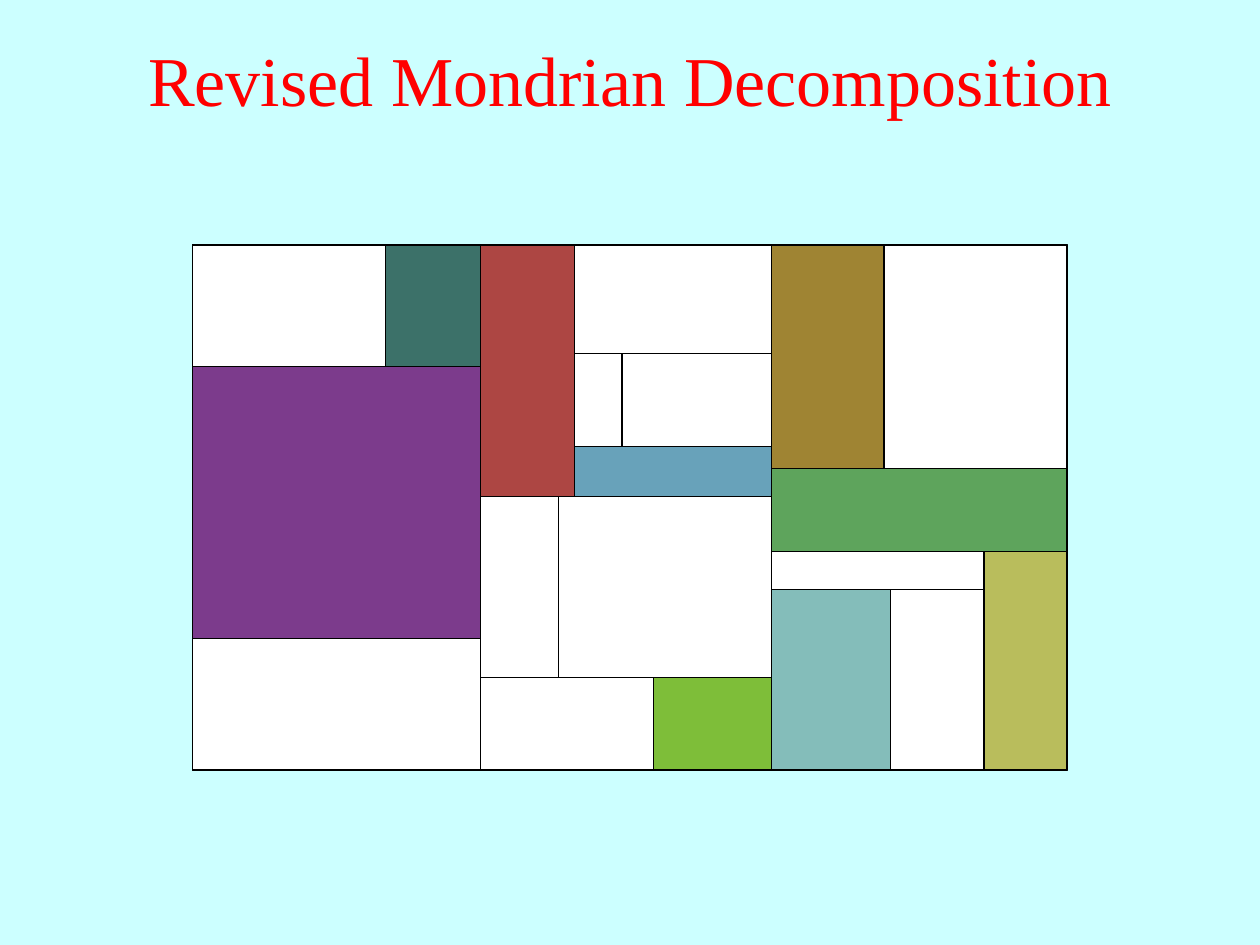
from dataclasses import dataclass
from pptx import Presentation
from pptx.dml.color import RGBColor
from pptx.enum.shapes import MSO_SHAPE
from pptx.enum.text import MSO_ANCHOR, PP_ALIGN
from pptx.slide import Slide
from pptx.util import Pt


@dataclass(frozen=True)
class Theme:
    back: str = "CCFFFF"
    title: str = "FF0000"
    line: str = "000000"
    blank: str = "FFFFFF"
    font: str = "Times New Roman"
    size: float = 40
    width: float = 0.75


THEME = Theme()


@dataclass(frozen=True)
class Tile:
    """A rectangle given by its four edges, in points."""
    left: float
    top: float
    right: float
    bottom: float
    fill: str = THEME.blank


# Edges shared by many tiles: frame and column cuts
LEFT, CUT1, CUT2, RIGHT = 110.2, 274.5, 440.8, 609.8
TOP, BASE = 140, 440

FRAMES = [
    Tile(LEFT, TOP, RIGHT, BASE),
    Tile(LEFT, TOP, CUT2, BASE),
    Tile(CUT2, TOP, RIGHT, BASE),
]
FIRST = [
    Tile(LEFT, TOP, 220.3, 209.3),
    Tile(220.3, TOP, CUT1, 209.3, "3C7169"),
    Tile(LEFT, 209.3, CUT1, 364.8, "7C3B8C"),
    Tile(LEFT, 364.8, CUT1, BASE),
]
MIDDLE = [
    Tile(CUT1, TOP, 328.4, 283.7, "AD4643"),
    Tile(328.4, TOP, CUT2, 202),
    Tile(328.4, 202, 355.5, 255.3),
    Tile(355.5, 202, CUT2, 255.3),
    Tile(328.4, 255.3, CUT2, 283.7, "68A2BA"),
    Tile(CUT1, 283.7, 319.1, 387.3),
    Tile(319.1, 283.7, CUT2, 387.3),
    Tile(CUT1, 387.3, 373.4, BASE),
    Tile(373.4, 387.3, CUT2, BASE, "7EBE39"),
]
LAST = [
    Tile(CUT2, TOP, 505.2, 267.6, "9F8433"),
    Tile(505.2, TOP, RIGHT, 267.6),
    Tile(CUT2, 267.6, RIGHT, 315.1, "5EA45C"),
    Tile(CUT2, 315.1, 562.4, 336.8),
    Tile(CUT2, 336.8, 508.8, BASE, "84BDBA"),
    Tile(508.8, 336.8, 562.4, BASE),
    Tile(562.4, 315.1, RIGHT, BASE, "B9BD5C"),
]


def color(code: str) -> RGBColor:
    return RGBColor.from_string(code)


def add_title(slide: Slide, text: str) -> None:
    box = slide.shapes.add_textbox(Pt(0), Pt(0), Pt(720), Pt(90))
    frame = box.text_frame
    frame.word_wrap = True
    frame.vertical_anchor = MSO_ANCHOR.MIDDLE
    para = frame.paragraphs[0]
    para.alignment = PP_ALIGN.CENTER
    run = para.add_run()
    run.text = text
    run.font.name = THEME.font
    run.font.size = Pt(THEME.size)
    run.font.color.rgb = color(THEME.title)


def add_tile(slide: Slide, tile: Tile) -> None:
    shape = slide.shapes.add_shape(
        MSO_SHAPE.RECTANGLE, Pt(tile.left), Pt(tile.top),
        Pt(tile.right - tile.left), Pt(tile.bottom - tile.top))
    shape.shadow.inherit = False
    shape.fill.solid()
    shape.fill.fore_color.rgb = color(tile.fill)
    shape.line.color.rgb = color(THEME.line)
    shape.line.width = Pt(THEME.width)


def main() -> None:
    deck = Presentation()
    deck.slide_width, deck.slide_height = Pt(720), Pt(540)
    slide = deck.slides.add_slide(deck.slide_layouts[6])

    # Background and title
    slide.background.fill.solid()
    slide.background.fill.fore_color.rgb = color(THEME.back)
    add_title(slide, "Revised Mondrian Decomposition")

    # Frames first, then the tiles column by column
    for tile in FRAMES + FIRST + MIDDLE + LAST:
        add_tile(slide, tile)

    deck.save("out.pptx")


if __name__ == "__main__":
    main()
